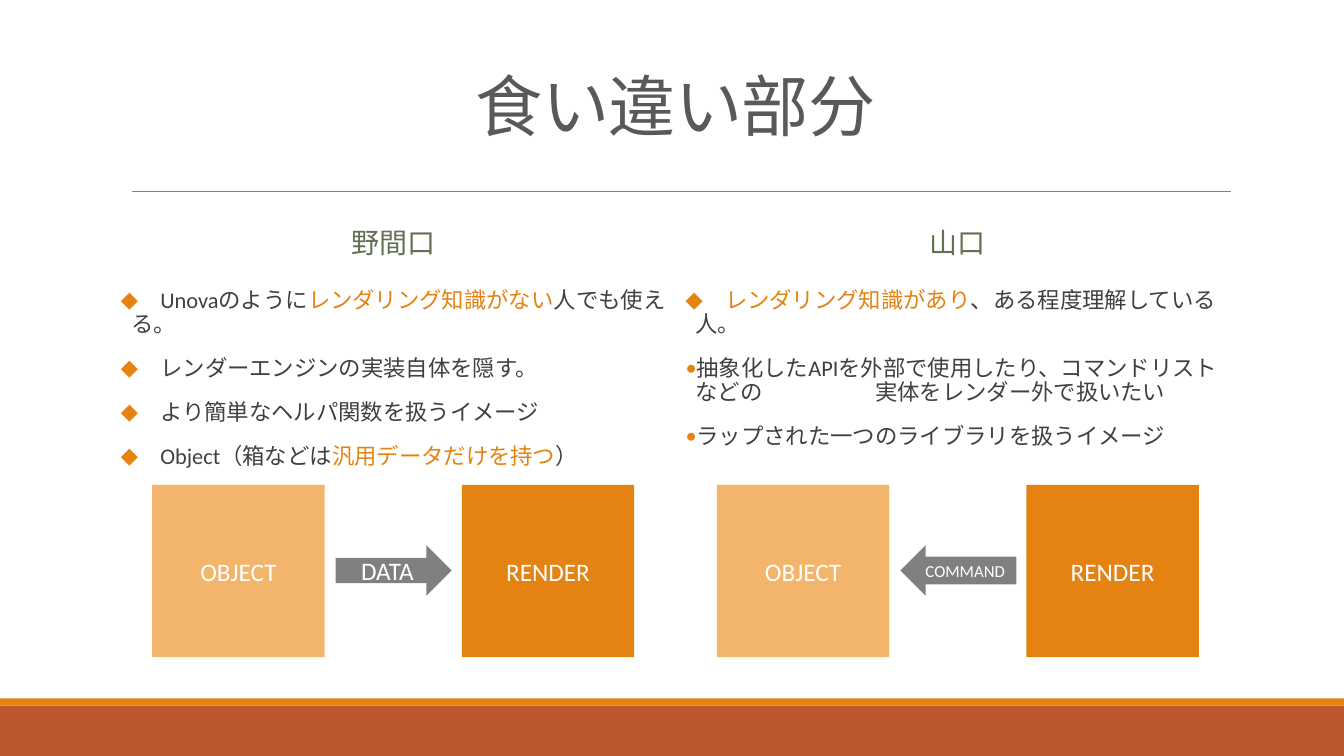
from dataclasses import dataclass

from lxml import etree
from pptx import Presentation
from pptx import util as u
from pptx.dml import color
from pptx.enum import shapes, text
from pptx.oxml import ns

PX = 9144
COLUMN_STEP = 560
BLOCK_SIZE = 171
FONT = "Calibri"
COLORS = {
    "title": "595959",
    "name": "637052",
    "body": "404040",
    "accent": "E48312",
    "light": "F3B56C",
    "gray": "808080",
    "rust": "BD582C",
    "white": "FFFFFF",
}
SHAPE = shapes.MSO_SHAPE


@dataclass(frozen=True)
class Box:
    left: int
    top: int
    width: int
    height: int

    def emu(self) -> tuple[int, ...]:
        return tuple(side * PX for side in (self.left, self.top, self.width, self.height))


@dataclass(frozen=True)
class Bullet:
    mark: str
    plain: str
    accent: str = ""
    tail: str = ""
    tab: int = 0


@dataclass(frozen=True)
class Arrow:
    label: str
    size: int
    preset: SHAPE
    shaft: float


@dataclass(frozen=True)
class Column:
    name: str
    bullets: tuple[Bullet, ...]
    arrow: Arrow


COLUMNS = (
    Column(
        "野間口",
        (
            Bullet("◆", "　Unovaのように", "レンダリング知識がない", "人でも使える。"),
            Bullet("◆", "　レンダーエンジンの実装自体を隠す。"),
            Bullet("◆", "　より簡単なヘルパ関数を扱うイメージ"),
            Bullet("◆", "　Object（箱などは", "汎用データだけを持つ", "）"),
        ),
        Arrow("DATA", 18, SHAPE.RIGHT_ARROW, 0.5),
    ),
    Column(
        "山口",
        (
            Bullet("◆", "　", "レンダリング知識があり", "、ある程度理解している人。"),
            Bullet("•", "抽象化したAPIを外部で使用したり、コマンドリストなどの\t実体をレンダー外で扱いたい", tab=188),
            Bullet("•", "ラップされた一つのライブラリを扱うイメージ"),
        ),
        Arrow("COMMAND", 12, SHAPE.LEFT_ARROW, 0.55),
    ),
)


def rgb(name: str) -> color.RGBColor:
    return color.RGBColor.from_string(COLORS[name])


def style(span, size: int, ink: str) -> None:
    span.font.name = FONT
    span.font.size = u.Pt(size)
    span.font.color.rgb = rgb(ink)


def space(para) -> None:
    para.line_spacing = 0.9
    para.space_before = u.Pt(12)
    para.space_after = u.Pt(2)


def write_centered(frame, label: str, size: int, ink: str):
    frame.text = label
    frame.word_wrap = True
    frame.vertical_anchor = text.MSO_ANCHOR.MIDDLE
    para = frame.paragraphs[0]
    para.alignment = text.PP_ALIGN.CENTER
    style(para.runs[0], size, ink)
    return para


def add_heading(page, box: Box, label: str, size: int, ink: str):
    heading = page.shapes.add_textbox(*box.emu())
    return write_centered(heading.text_frame, label, size, ink)


def add_block(page, preset: SHAPE, box: Box, fill: str, label: str = "", size: int = 18):
    block = page.shapes.add_shape(preset, *box.emu())
    block.shadow.inherit = False
    block.fill.solid()
    block.fill.fore_color.rgb = rgb(fill)
    block.line.fill.background()
    if label:
        write_centered(block.text_frame, label, size, "white")
    return block


def set_bullet(para, bullet: Bullet) -> None:
    props = para._p.get_or_add_pPr()
    props.set("marL", str(10 * PX))
    props.set("indent", str(-10 * PX))
    tint = etree.SubElement(props, ns.qn("a:buClr"))
    etree.SubElement(tint, ns.qn("a:srgbClr"), val=COLORS["accent"])
    etree.SubElement(props, ns.qn("a:buFont"), typeface=FONT)
    etree.SubElement(props, ns.qn("a:buChar"), char=bullet.mark)
    if bullet.tab:
        stops = etree.SubElement(props, ns.qn("a:tabLst"))
        etree.SubElement(stops, ns.qn("a:tab"), pos=str(bullet.tab * PX), algn="l")


def add_bullets(page, box: Box, bullets: tuple[Bullet, ...]) -> None:
    frame = page.shapes.add_textbox(*box.emu()).text_frame
    frame.word_wrap = True
    frame.margin_left = frame.margin_right = 0
    for index, bullet in enumerate(bullets):
        para = frame.add_paragraph() if index else frame.paragraphs[0]
        space(para)
        set_bullet(para, bullet)
        parts = ((bullet.plain, "body"), (bullet.accent, "accent"), (bullet.tail, "body"))
        for words, ink in parts:
            if words:
                span = para.add_run()
                span.text = words
                style(span, 16, ink)


def add_column(page, column: Column, shift: int) -> None:
    space(add_heading(page, Box(120 + shift, 202, 540, 81), column.name, 20, "name"))
    add_bullets(page, Box(120 + shift, 282, 540, 369), column.bullets)
    for left, fill, label in ((151, "light", "OBJECT"), (458, "accent", "RENDER")):
        add_block(page, SHAPE.RECTANGLE, Box(left + shift, 481, BLOCK_SIZE, BLOCK_SIZE), fill, label)
    arrow = column.arrow
    block = add_block(page, arrow.preset, Box(333 + shift, 541, 115, 50), "gray", arrow.label, arrow.size)
    block.adjustments[0] = arrow.shaft


def add_rule(page) -> None:
    rule = page.shapes.add_connector(
        shapes.MSO_CONNECTOR.STRAIGHT, 131 * PX, 190 * PX, 1221 * PX, 190 * PX
    )
    rule.line.color.rgb = rgb("gray")
    rule.line.width = u.Pt(0.5)
    etree.SubElement(rule._element.spPr, ns.qn("a:effectLst"))


def main() -> None:
    deck = Presentation()
    deck.slide_width, deck.slide_height = 1333 * PX, 750 * PX
    page = deck.slides.add_slide(deck.slide_layouts[6])
    add_block(page, SHAPE.RECTANGLE, Box(0, 700, 1333, 50), "rust")
    add_block(page, SHAPE.RECTANGLE, Box(0, 693, 1333, 7), "accent")
    add_rule(page)
    title = add_heading(page, Box(120, 31, 1100, 159), "食い違い部分", 48, "title")
    title.line_spacing = 0.85
    title.runs[0]._r.get_or_add_rPr().set("spc", "-50")
    for index, column in enumerate(COLUMNS):
        add_column(page, column, index * COLUMN_STEP)
    deck.save("out.pptx")


if __name__ == "__main__":
    main()
